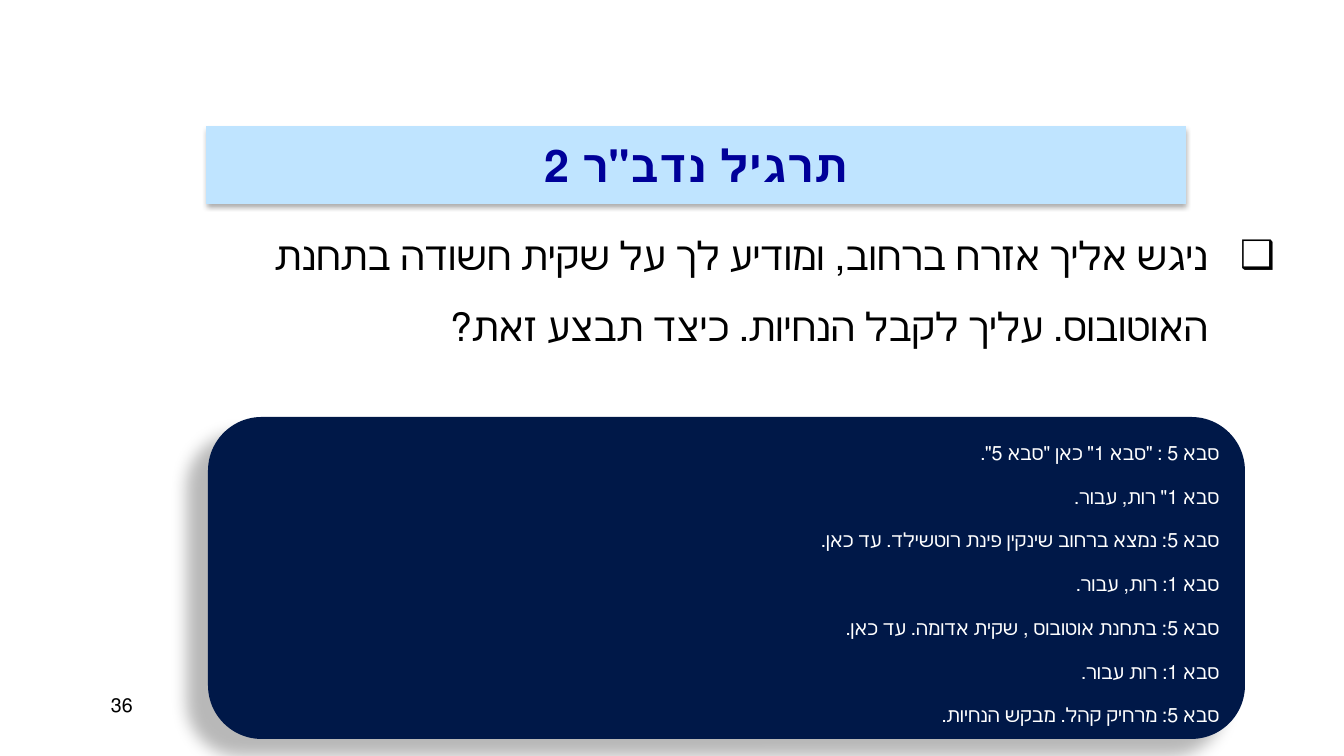
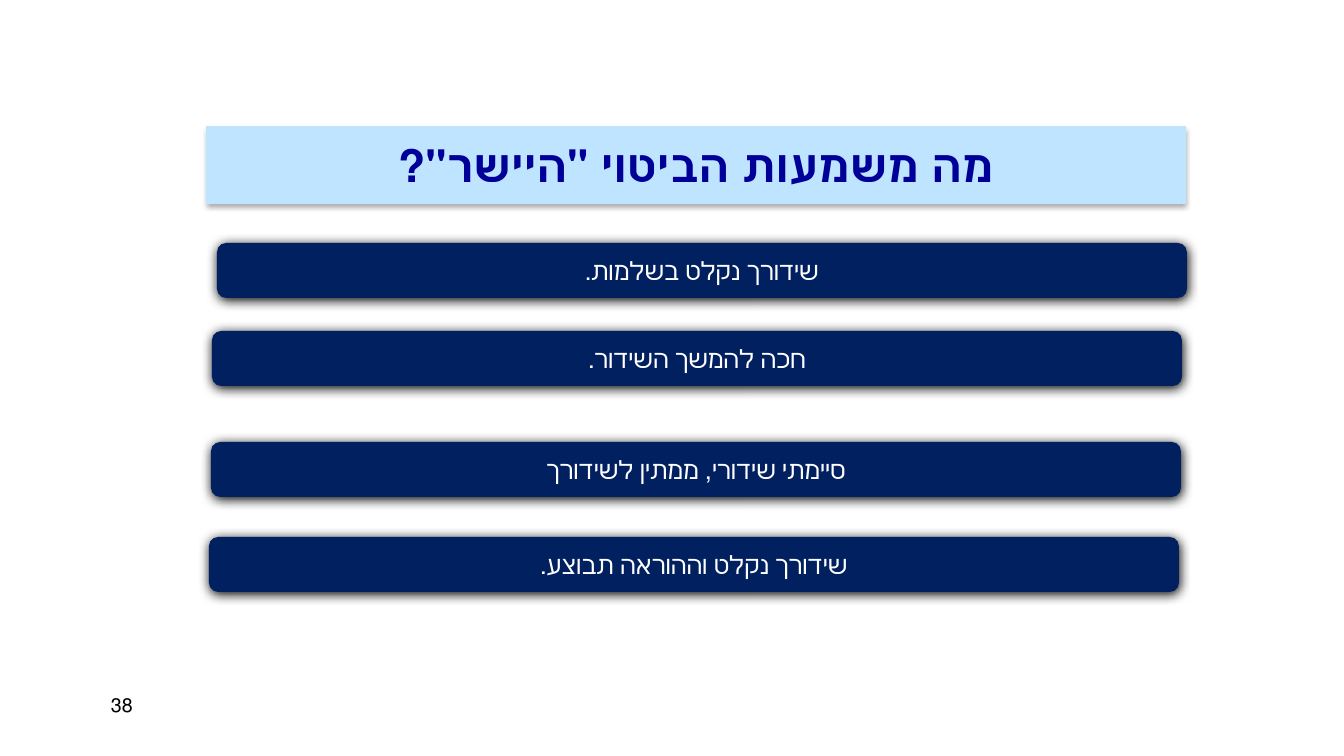
from lxml.etree import SubElement
from pptx import Presentation
from pptx.dml.color import RGBColor
from pptx.enum.shapes import MSO_SHAPE
from pptx.enum.text import MSO_ANCHOR, MSO_AUTO_SIZE, PP_ALIGN
from pptx.oxml.ns import qn
from pptx.util import Emu, Pt

SLIDE_WIDTH, SLIDE_HEIGHT = 1344, 756
EMU_PER_PX = 12192000 / SLIDE_WIDTH

BLACK = RGBColor(0x00, 0x00, 0x00)
WHITE = RGBColor(0xFF, 0xFF, 0xFF)
TITLE_BLUE = RGBColor(0x00, 0x00, 0x99)
TITLE_BAND = RGBColor(0xBF, 0xE4, 0xFF)
DIALOGUE_NAVY = RGBColor(0x00, 0x18, 0x48)
ANSWER_NAVY = RGBColor(0x00, 0x20, 0x60)
VEIL_OPACITY = 64

# Shadows: opacity %, blur pt, distance pt, direction in degrees
TITLE_SHADOW = (32, 3.5, 2.2, 90)
DIALOGUE_SHADOW = (28, 11.8, 19.7, 141)
ANSWER_SHADOW = (100, 8.5, 1, 90)

# Boxes: left, top, width, height in px
VEIL_BOX = (0, 91, SLIDE_WIDTH, 654)
TITLE_BOX = (206, 126, 980, 78)
NUMBER_BOX = (101, 688, 280, 50)
QUESTION_BOX = (131, 203, 1154, 200)
DIALOGUE_BOX = (208, 417, 1037, 322)
ANSWER_WIDTH, ANSWER_HEIGHT = 970, 55
BULLET_INDENT = 67

EXERCISE = {
    "title": 'תרגיל נדב"ר 2',
    "number": "36",
    "question": "ניגש אליך אזרח ברחוב, ומודיע לך על שקית חשודה בתחנת האוטובוס. "
                "עליך לקבל הנחיות. כיצד תבצע זאת?",
    "dialogue": [
        'סבא 5 : "סבא 1" כאן "סבא 5".',
        'סבא 1" רות, עבור.',
        "סבא 5: נמצא ברחוב שינקין פינת רוטשילד. עד כאן.",
        "סבא 1: רות, עבור.",
        "סבא 5: בתחנת אוטובוס , שקית אדומה. עד כאן.",
        "סבא 1: רות עבור.",
        "סבא 5: מרחיק קהל. מבקש הנחיות.",
    ],
}
QUIZ = {
    "title": 'מה משמעות הביטוי "היישר"?',
    "number": "38",
    "answers": [  # left, top, text
        (217, 243, "שידורך נקלט בשלמות."),
        (212, 331, "חכה להמשך השידור."),
        (211, 442, "סיימתי שידורי, ממתין לשידורך"),
        (209, 537, "שידורך נקלט וההוראה תבוצע."),
    ],
}


def px(length):
    return Emu(round(length * EMU_PER_PX))


def place(shape, box):
    shape.left, shape.top, shape.width, shape.height = map(px, box)


def add_shadow(shape, opacity, blur, distance, direction):
    shape.shadow.inherit = False
    effects = shape._element.spPr.find(qn("a:effectLst"))
    shadow = SubElement(effects, qn("a:outerShdw"), blurRad=str(Pt(blur)),
                        dist=str(Pt(distance)), dir=str(direction * 60000),
                        algn="ctr", rotWithShape="0")
    color = SubElement(shadow, qn("a:srgbClr"), val=str(BLACK))
    SubElement(color, qn("a:alpha"), val=str(opacity * 1000))


def write(shape, lines, size, color, font="Calibri", bold=False,
          align=PP_ALIGN.CENTER, anchor=MSO_ANCHOR.MIDDLE,
          spacing=1, after=0, bullet=None):
    """Fill a shape with right-to-left paragraphs."""
    frame = shape.text_frame
    frame.word_wrap = True
    frame.auto_size = MSO_AUTO_SIZE.NONE
    frame.vertical_anchor = anchor
    frame.text = "\n".join(lines)
    for paragraph in frame.paragraphs:
        paragraph.alignment = align
        paragraph.line_spacing = spacing
        paragraph.space_before, paragraph.space_after = Pt(0), Pt(after)
        properties = paragraph._p.get_or_add_pPr()
        properties.set("rtl", "1")
        if bullet:
            properties.set("marL", str(px(BULLET_INDENT)))
            properties.set("indent", str(-px(BULLET_INDENT)))
            SubElement(properties, qn("a:buChar"), char=bullet)
        paragraph.font.size = Pt(size)
        paragraph.font.bold = bold
        paragraph.font.color.rgb = color
        paragraph.font.name = font


def add_panel(slide, kind, box, fill):
    panel = slide.shapes.add_shape(kind, *map(px, box))
    panel.fill.solid()
    panel.fill.fore_color.rgb = fill
    panel.line.fill.background()
    panel.shadow.inherit = False
    return panel


def add_rounded_panel(slide, box, fill, shadow):
    panel = add_panel(slide, MSO_SHAPE.ROUNDED_RECTANGLE, box, fill)
    add_shadow(panel, *shadow)
    return panel


def move_veil_to_master(presentation, slide):
    """Put the translucent white veil behind everything on every slide."""
    veil = add_panel(slide, MSO_SHAPE.RECTANGLE, VEIL_BOX, WHITE)
    color = veil._element.spPr.find(qn("a:solidFill"))[0]
    SubElement(color, qn("a:alpha"), val=str(VEIL_OPACITY * 1000))
    presentation.slide_master.shapes._spTree.insert(2, veil._element)


def add_slide(presentation, layout_name, content):
    """Add a slide with the shared title band and page number."""
    layout = presentation.slide_layouts.get_by_name(layout_name)
    slide = presentation.slides.add_slide(layout)
    title = slide.shapes.title
    place(title, TITLE_BOX)
    title.fill.solid()
    title.fill.fore_color.rgb = TITLE_BAND
    add_shadow(title, *TITLE_SHADOW)
    write(title, [content["title"]], 32, TITLE_BLUE, font="Arial", bold=True)
    number = slide.shapes.add_textbox(*map(px, NUMBER_BOX))
    write(number, [content["number"]], 14, BLACK, font="Times New Roman",
          align=PP_ALIGN.LEFT, anchor=MSO_ANCHOR.TOP)
    return slide


def build_exercise(presentation):
    slide = add_slide(presentation, "Title and Content", EXERCISE)
    question = slide.placeholders[1]
    place(question, QUESTION_BOX)
    write(question, [EXERCISE["question"]], 28, BLACK, align=PP_ALIGN.RIGHT,
          anchor=MSO_ANCHOR.TOP, spacing=1.5, bullet="❑")
    dialogue = add_rounded_panel(slide, DIALOGUE_BOX, DIALOGUE_NAVY,
                                 DIALOGUE_SHADOW)
    write(dialogue, EXERCISE["dialogue"], 14, WHITE, align=PP_ALIGN.RIGHT,
          spacing=1.5, after=6)
    return slide


def build_quiz(presentation):
    slide = add_slide(presentation, "Title Only", QUIZ)
    for left, top, text in QUIZ["answers"]:
        box = (left, top, ANSWER_WIDTH, ANSWER_HEIGHT)
        answer = add_rounded_panel(slide, box, ANSWER_NAVY, ANSWER_SHADOW)
        write(answer, [text], 18, WHITE)


def main():
    presentation = Presentation()
    presentation.slide_width = px(SLIDE_WIDTH)
    presentation.slide_height = px(SLIDE_HEIGHT)
    exercise = build_exercise(presentation)
    move_veil_to_master(presentation, exercise)
    build_quiz(presentation)
    presentation.save("out.pptx")


if __name__ == "__main__":
    main()
